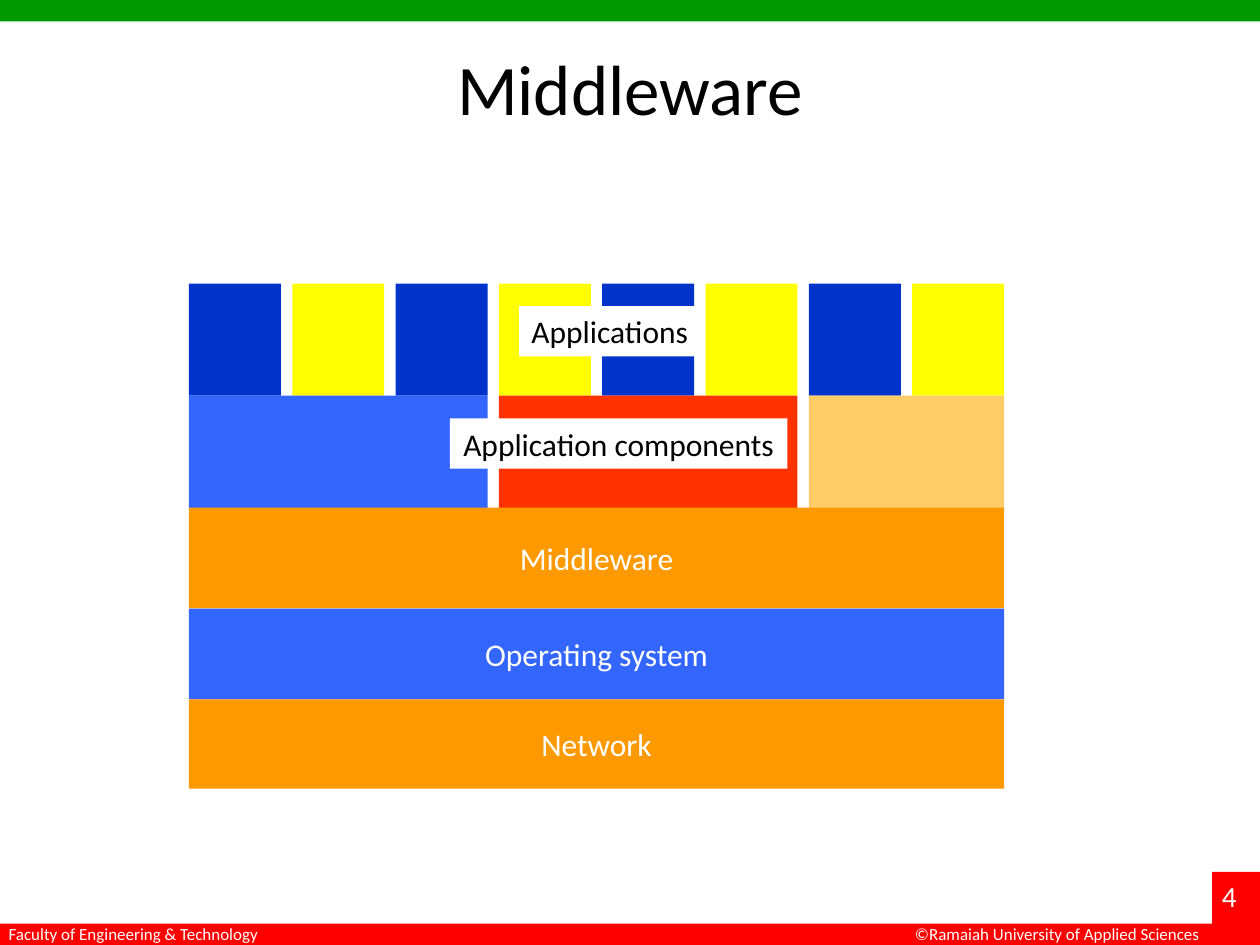
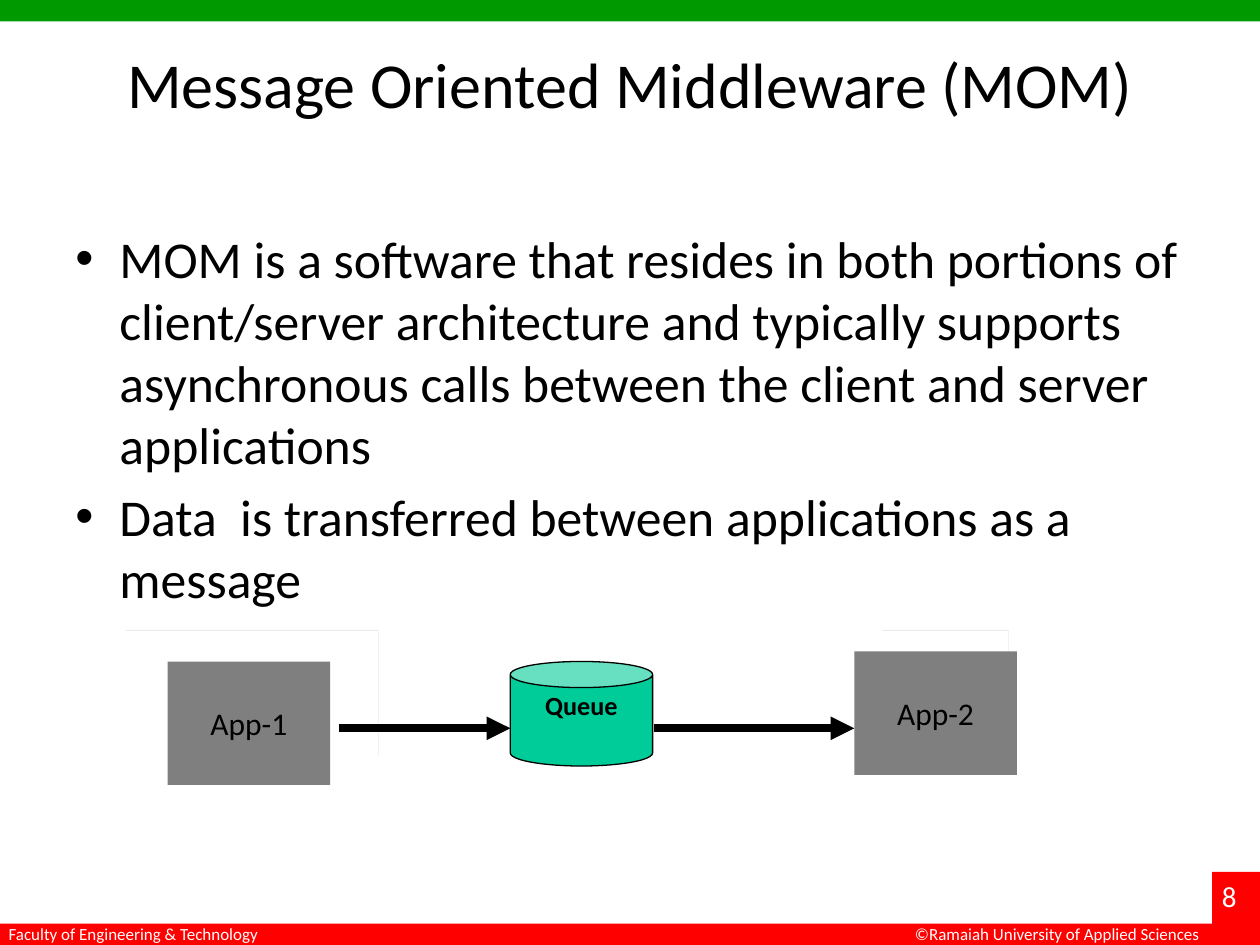
from lxml import etree
from pptx import Presentation, util as u
from pptx.dml.color import RGBColor
from pptx.enum import shapes, text
from pptx.oxml.ns import qn

# Content
FACULTY = "Faculty of Engineering & Technology"
COPYRIGHT = "©Ramaiah University of Applied Sciences"
STACK_TITLE, STACK_NUMBER = "Middleware", "4"
QUEUE_TITLE, QUEUE_NUMBER = "Message Oriented Middleware (MOM)", "8"
APPLICATION_COLOURS = ["navy", "yellow"] * 4
COMPONENTS = [(3, "blue"), (3, "vermilion"), (2, "sand")]  # columns spanned, fill
LAYERS = [("Middleware", 0.8, "orange"), ("Operating system", 0.72, "blue"),
          ("Network", 0.71, "orange")]  # label, height, fill
ROW_LABELS = [("Applications", 4.12, 1.44), ("Application components", 3.57, 2.68)]
POINTS = [
    "MOM is a software that resides in both portions of client/server architecture "
    "and typically supports asynchronous calls between the client and server applications",
    "Data  is transferred between applications as a message",
]
APPS = [("App-1", 1.33, 5.25), ("App-2", 6.78, 5.17)]
ARROWS = [(2.69, 4.05), (5.19, 6.78)]

# Theme
THEME = {
    "font": "Calibri",
    "colours": {
        "green": "009900", "red": "FF0000", "white": "FFFFFF", "black": "000000",
        "navy": "0033CC", "yellow": "FFFF00", "blue": "3366FF", "vermilion": "FF3300",
        "sand": "FFCC66", "orange": "FF9900", "teal": "00CC99",
        "front": "7F7F7F", "top": "666666", "side": "999999",
    },
    "sizes": {"footer": 9.7, "number": 16.6, "label": 18, "queue": 15, "body": 29.5},
}
WIDTH, HEIGHT = 10, 7.5
BAND = 0.17
COLUMN, GAP = 0.73, 0.09
STACK_LEFT, STACK_TOP, ROW = 1.5, 2.25, 0.89
DEPTH = 0.17


def colour(name):
    return RGBColor.from_string(THEME["colours"][name])


def apply(target, formats):
    for name, value in formats.items():
        setattr(target, name, value)


def paint(shape, fill, line=None):
    shape.shadow.inherit = False
    shape.fill.solid()
    shape.fill.fore_color.rgb = colour(fill)
    if line:
        shape.line.color.rgb = colour(line)
        shape.line.width = u.Pt(0.75)
    else:
        shape.line.fill.background()
    return shape


def style(paragraph, size, ink, align=text.PP_ALIGN.CENTER, bold=False):
    paragraph.alignment = align
    apply(paragraph.font, {"name": THEME["font"], "size": u.Pt(size), "bold": bold})
    paragraph.font.color.rgb = colour(ink)


def write(shape, words, size, ink, align=text.PP_ALIGN.CENTER, wrap=False, bold=False,
          anchor=text.MSO_ANCHOR.MIDDLE, inset_top=0.05):
    frame = shape.text_frame
    apply(frame, {"text": words, "word_wrap": wrap, "vertical_anchor": anchor,
                  "margin_top": u.Inches(inset_top)})
    style(frame.paragraphs[0], THEME["sizes"][size], ink, align, bold)


def block(slide, left, top, width, height, fill, line=None,
          kind=shapes.MSO_SHAPE.RECTANGLE):
    box = [u.Inches(length) for length in (left, top, width, height)]
    return paint(slide.shapes.add_shape(kind, *box), fill, line)


def text_box(slide, left, top, width, height):
    return slide.shapes.add_textbox(*[u.Inches(n) for n in (left, top, width, height)])


def face(slide, points, fill):
    builder = slide.shapes.build_freeform(*points[0], scale=u.Inches(1))
    builder.add_line_segments(points[1:])
    paint(builder.convert_to_shape(), fill)


def add_slide(presentation, title, title_size, number):
    slide = presentation.slides.add_slide(presentation.slide_layouts[5])

    # Bands and footer
    block(slide, 0, 0, WIDTH, BAND, "green")
    block(slide, 0, HEIGHT - BAND, WIDTH, BAND, "red")
    block(slide, WIDTH - 0.38, 6.92, 0.38, 0.58, "red")
    footers = [
        (FACULTY, -0.03, 7.28, 2.6, 0.26, "footer", text.PP_ALIGN.LEFT),
        (COPYRIGHT, 6.62, 7.28, 3, 0.26, "footer", text.PP_ALIGN.RIGHT),
        (number, 9.6, 6.92, 0.4, 0.38, "number", text.PP_ALIGN.LEFT),
    ]
    for words, left, top, width, height, size, align in footers:
        write(text_box(slide, left, top, width, height), words, size, "white", align,
              wrap=True, anchor=text.MSO_ANCHOR.TOP)

    # Title
    heading = slide.shapes.title
    apply(heading, {"left": u.Inches(0.5), "top": u.Inches(0.3),
                    "width": u.Inches(9), "height": u.Inches(1.25)})
    apply(heading.text_frame, {"text": title, "vertical_anchor": text.MSO_ANCHOR.TOP})
    style(heading.text_frame.paragraphs[0], title_size, "black")
    return slide


def add_stack(slide):
    def span(columns):
        return columns * (COLUMN + GAP) - GAP

    # Applications and components share eight columns
    rows = [[(1, fill) for fill in APPLICATION_COLOURS], COMPONENTS]
    for index, row in enumerate(rows):
        left = STACK_LEFT
        for columns, fill in row:
            block(slide, left, STACK_TOP + index * ROW, span(columns), ROW, fill)
            left += span(columns) + GAP

    # Full-width layers
    top = STACK_TOP + len(rows) * ROW
    for label, height, fill in LAYERS:
        layer = block(slide, STACK_LEFT, top, span(8), height, fill)
        write(layer, label, "label", "white")
        top += height

    # Labels over the two split rows
    for index, (label, left, width) in enumerate(ROW_LABELS):
        plate = block(slide, left, STACK_TOP + index * ROW + 0.18, width, 0.4, "white")
        write(plate, label, "label", "black")


def add_points(slide):
    frame = text_box(slide, 0.5, 1.75, 9, 3.3).text_frame
    frame.word_wrap = True
    size = THEME["sizes"]["body"]
    for index, point in enumerate(POINTS):
        paragraph = frame.add_paragraph() if index else frame.paragraphs[0]
        paragraph.text = point
        properties = paragraph._p.get_or_add_pPr()
        properties.set("marL", str(u.Inches(0.35)))
        properties.set("indent", str(-u.Inches(0.35)))
        etree.SubElement(properties, qn("a:buFont"), typeface="Arial")
        etree.SubElement(properties, qn("a:buChar"), char="•")
        style(paragraph, size, "black", text.PP_ALIGN.LEFT)
        if index:
            paragraph.space_before = u.Pt(0.2 * size)


def add_app(slide, label, left, top, width=1.29, height=0.98):
    right, bottom = left + width, top + height
    back_right, back_top = right + DEPTH, top - DEPTH
    face(slide, [(left, top), (left + DEPTH, back_top), (back_right, back_top),
                 (right, top)], "top")
    face(slide, [(right, top), (back_right, back_top), (back_right, bottom - DEPTH),
                 (right, bottom)], "side")
    write(block(slide, left, top, width, height, "front"), label, "label", "black")


def add_arrow(slide, start, end, level=5.78):
    arrow = slide.shapes.add_connector(
        shapes.MSO_CONNECTOR.STRAIGHT,
        *[u.Inches(length) for length in (start, level, end, level)])
    arrow.line.color.rgb = colour("black")
    arrow.line.width = u.Pt(4.5)
    etree.SubElement(arrow.line._get_or_add_ln(), qn("a:tailEnd"), type="triangle")
    etree.SubElement(arrow._element.spPr, qn("a:effectLst"))


def add_queue_flow(slide):
    for app in APPS:
        add_app(slide, *app)
    queue = block(slide, 4.05, 5.25, 1.13, 0.83, "teal", "black", shapes.MSO_SHAPE.CAN)
    write(queue, "Queue", "queue", "black", bold=True,
          anchor=text.MSO_ANCHOR.TOP, inset_top=0.01)
    for start, end in ARROWS:
        add_arrow(slide, start, end)


def main():
    presentation = Presentation()
    apply(presentation, {"slide_width": u.Inches(WIDTH), "slide_height": u.Inches(HEIGHT)})

    add_stack(add_slide(presentation, STACK_TITLE, 40.6, STACK_NUMBER))

    slide = add_slide(presentation, QUEUE_TITLE, 36.6, QUEUE_NUMBER)
    add_points(slide)
    add_queue_flow(slide)

    presentation.save("out.pptx")


if __name__ == "__main__":
    main()
